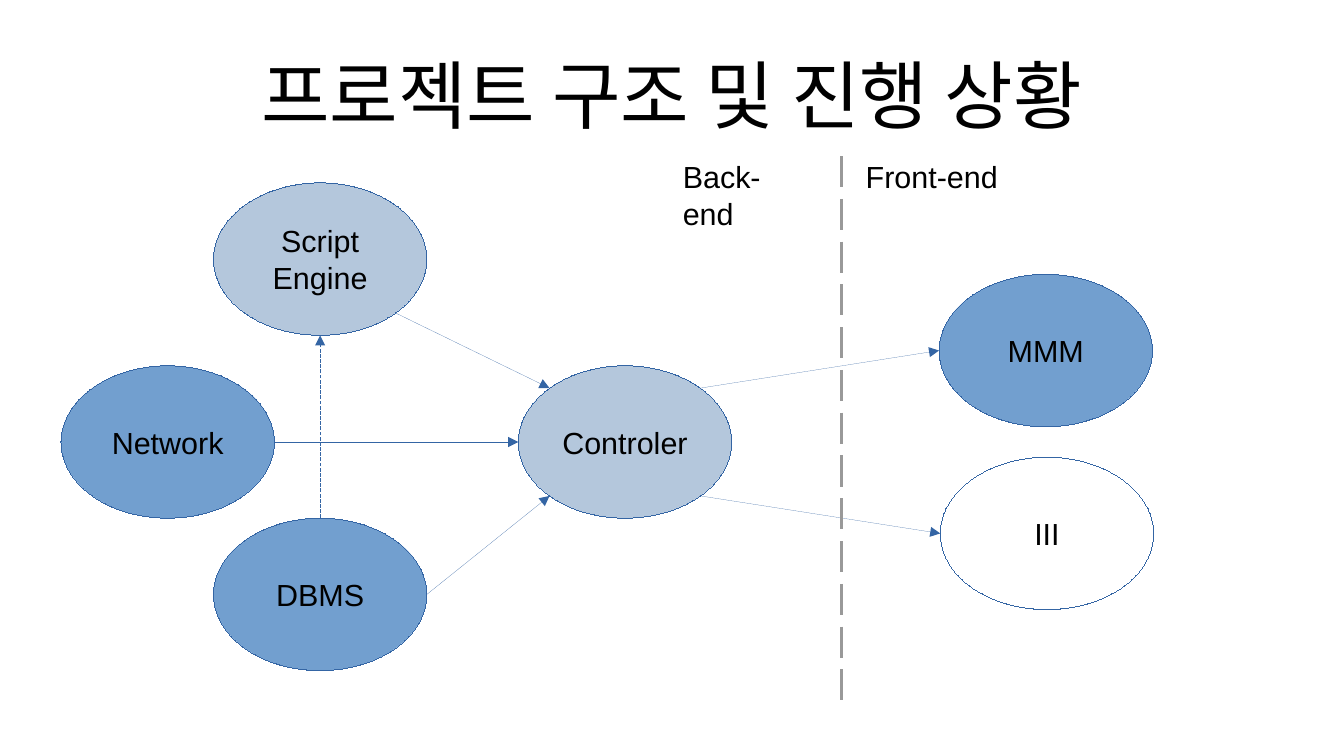
from math import cos, radians, sin

from lxml import etree
from pptx import Presentation
from pptx import util as u
from pptx.dml.color import RGBColor
from pptx.enum import dml, shapes, text
from pptx.oxml import ns

WIDTH, HEIGHT = 1.75, 1.25
BLUE, PALE, WHITE, EDGE = "729FCF", "B4C7DC", "FFFFFF", "3465A4"


def paint(fill, color):
    fill.solid()
    fill.fore_color.rgb = RGBColor.from_string(color)


def write(box, words, size=18, align=text.PP_ALIGN.LEFT,
          anchor=text.MSO_ANCHOR.TOP, inset=(0.1, 0.05)):
    frame = box.text_frame
    frame.word_wrap = True
    frame.auto_size = text.MSO_AUTO_SIZE.NONE
    frame.vertical_anchor = anchor
    frame.margin_left = frame.margin_right = u.Inches(inset[0])
    frame.margin_top = frame.margin_bottom = u.Inches(inset[1])
    para = frame.paragraphs[0]
    para.alignment = align
    span = para.add_run()
    span.text = words
    span.font.name = "Arial"
    span.font.size = u.Pt(size)
    paint(span.font.fill, "000000")


deck = Presentation()
deck.slide_width, deck.slide_height = u.Inches(11.02), u.Inches(6.2)
page = deck.slides.add_slide(deck.slide_layouts[5])

title = page.shapes.title
title.left, title.top = u.Inches(0.55), u.Inches(0.25)
title.width, title.height = u.Inches(9.92), u.Inches(1.04)
write(title, "프로젝트 구조 및 진행 상황", size=44, align=text.PP_ALIGN.CENTER,
      anchor=text.MSO_ANCHOR.MIDDLE, inset=(0, 0))

modules_drawn = {
    "DBMS": (1.75, 4.25, BLUE),
    "Network": (0.5, 3, BLUE),
    "Script Engine": (1.75, 1.5, PALE),
    "MMM": (7.7, 2.25, BLUE),
    "III": (7.71, 3.75, WHITE),
    "Controler": (4.25, 3, PALE),
}
outlined = []
for name, (left, top, color) in modules_drawn.items():
    oval = page.shapes.add_shape(
        shapes.MSO_SHAPE.OVAL, u.Inches(left), u.Inches(top),
        u.Inches(WIDTH), u.Inches(HEIGHT))
    oval.shadow.inherit = False
    paint(oval.fill, color)
    paint(oval.line.fill, EDGE)
    outlined.append(oval)
    write(oval, name, align=text.PP_ALIGN.CENTER, anchor=text.MSO_ANCHOR.MIDDLE)

# Each arrow leaves and meets an oval at an angle, clockwise from the right
arrows = [
    ("Network", 0, "Controler", 180, None),
    ("DBMS", 0, "Controler", 135, None),
    ("Script Engine", 45, "Controler", 225, None),
    ("Controler", 315, "MMM", 180, None),
    ("Controler", 45, "III", 180, None),
    ("DBMS", 270, "Script Engine", 90, dml.MSO_LINE.SQUARE_DOT),
]
for source, leaving, target, meeting, dash in arrows:
    ends = []
    for name, angle in ((source, leaving), (target, meeting)):
        left, top, color = modules_drawn[name]
        ends.append(u.Inches(left + WIDTH / 2 * (1 + cos(radians(angle)))))
        ends.append(u.Inches(top + HEIGHT / 2 * (1 + sin(radians(angle)))))
    arrow = page.shapes.add_connector(shapes.MSO_CONNECTOR.STRAIGHT, *ends)
    paint(arrow.line.fill, EDGE)
    if dash:
        arrow.line.dash_style = dash
    properties = arrow._element.spPr
    etree.SubElement(properties.find(ns.qn("a:ln")), ns.qn("a:tailEnd"), type="triangle")
    etree.SubElement(properties, ns.qn("a:effectLst"))
    outlined.append(arrow)

# Hairlines need an explicit zero width
for item in outlined:
    item._element.spPr.find(ns.qn("a:ln")).set("w", "0")

divider = page.shapes.add_connector(
    shapes.MSO_CONNECTOR.STRAIGHT, u.Inches(6.9), u.Inches(1.28),
    u.Inches(6.9), u.Inches(5.75))
paint(divider.line.fill, "999999")
divider.line.width = u.Pt(2.3)
divider.line.dash_style = dml.MSO_LINE.LONG_DASH
etree.SubElement(divider._element.spPr, ns.qn("a:effectLst"))

for words, left, width, height in (("Front-end", 7, 2.75, 0.38),
                                   ("Back-end", 5.5, 1.25, 0.66)):
    box = page.shapes.add_textbox(u.Inches(left), u.Inches(1.25),
                                  u.Inches(width), u.Inches(height))
    write(box, words)

deck.save("out.pptx")
